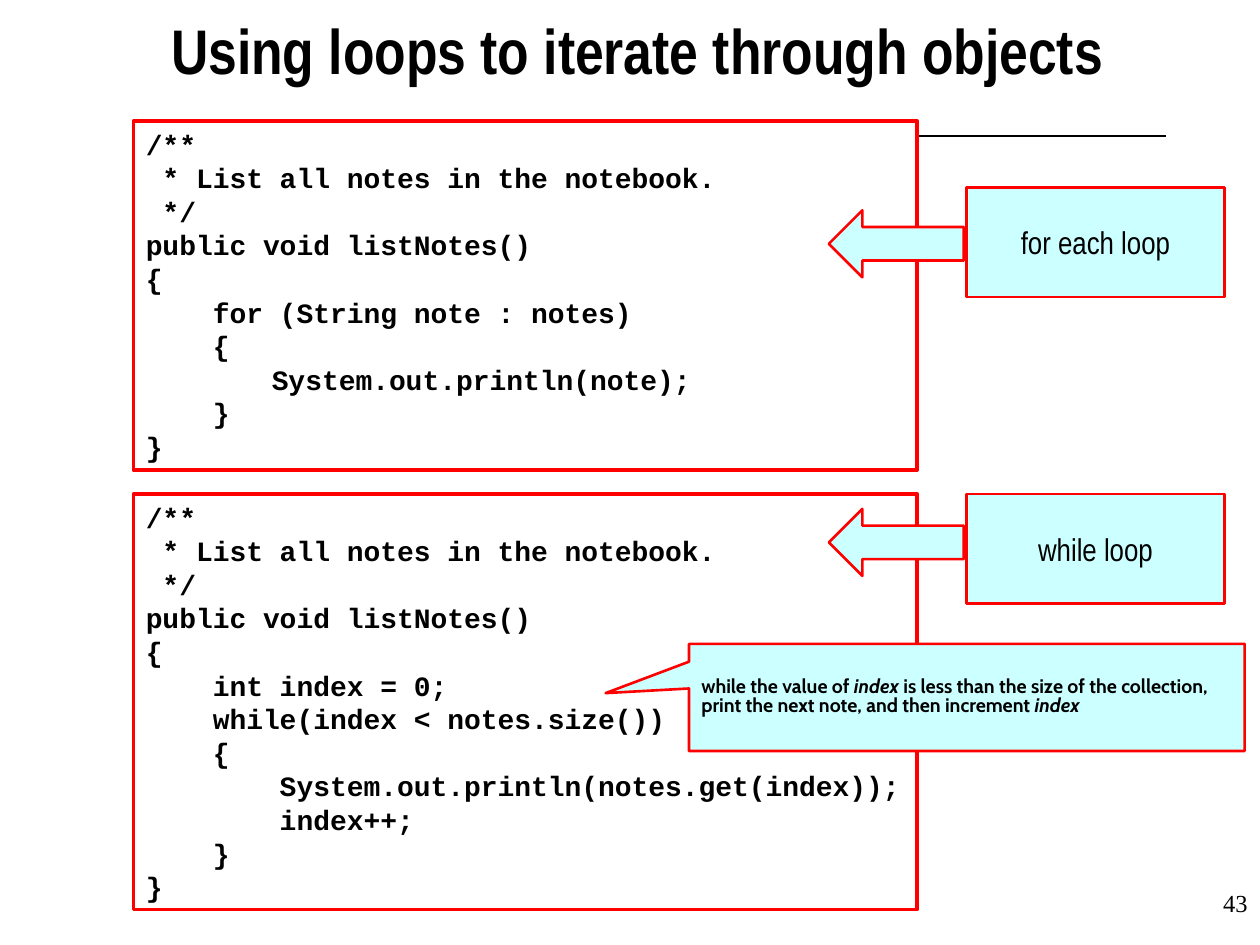
from lxml import etree
from pptx import Presentation
from pptx.dml.color import RGBColor
from pptx.enum.shapes import MSO_CONNECTOR, MSO_SHAPE
from pptx.enum.text import MSO_ANCHOR, MSO_AUTO_SIZE, PP_ALIGN
from pptx.oxml.ns import qn
from pptx.util import Cm, Pt

BLACK = RGBColor(0x00, 0x00, 0x00)
WHITE = RGBColor(0xFF, 0xFF, 0xFF)
RED = RGBColor(0xFF, 0x00, 0x00)
PALE_CYAN = RGBColor(0xCC, 0xFF, 0xFF)

RECTANGLE = MSO_SHAPE.RECTANGLE
LEFT_ARROW = MSO_SHAPE.LEFT_ARROW
CALLOUT = MSO_SHAPE.RECTANGULAR_CALLOUT
STRAIGHT = MSO_CONNECTOR.STRAIGHT
LEFT, CENTER, RIGHT = PP_ALIGN.LEFT, PP_ALIGN.CENTER, PP_ALIGN.RIGHT
TOP, MIDDLE = MSO_ANCHOR.TOP, MSO_ANCHOR.MIDDLE
FIT_SHAPE = MSO_AUTO_SIZE.SHAPE_TO_FIT_TEXT

FOR_EACH_CODE = """/**
 * List all notes in the notebook.
 */
public void listNotes()
{
    for (String note : notes)
    {
     \tSystem.out.println(note);
    }
}"""

WHILE_CODE = """/**
 * List all notes in the notebook.
 */
public void listNotes()
{
    int index = 0;
    while(index < notes.size())
    {
        System.out.println(notes.get(index));
        index++;
    }
}"""

CALLOUT_RUNS = [
    ("while the value of ", False),
    ("index", True),
    (" is less than the size of the collection, print the next note, "
     "and then increment ", False),
    ("index", True),
]


def add_run(paragraph, text, font_name, size, bold=False, italic=False):
    run = paragraph.add_run()
    run.text = text
    run.font.name = font_name
    run.font.size = Pt(size)
    run.font.bold = bold
    run.font.italic = italic
    run.font.color.rgb = BLACK


def add_text_box(slide, left, top, width, height, margins=None):
    box = slide.shapes.add_textbox(Cm(left), Cm(top), Cm(width), Cm(height))
    frame = box.text_frame
    frame.word_wrap = True
    if margins is not None:
        frame.margin_left = frame.margin_right = Cm(margins)
        frame.margin_top = frame.margin_bottom = Cm(margins)
    return frame.paragraphs[0]


def add_outlined_shape(slide, kind, left, top, width, height,
                       fill=PALE_CYAN, line_width=1.5):
    shape = slide.shapes.add_shape(kind, Cm(left), Cm(top), Cm(width), Cm(height))
    shape.shadow.inherit = False
    shape.fill.solid()
    shape.fill.fore_color.rgb = fill
    shape.line.color.rgb = RED
    shape.line.width = Pt(line_width)
    return shape


def add_code_box(slide, top, height, code):
    shape = add_outlined_shape(slide, RECTANGLE, 2.69, top, 15.8, height, WHITE, 2)
    frame = shape.text_frame
    frame.vertical_anchor = TOP
    frame.auto_size = FIT_SHAPE
    for number, line in enumerate(code.splitlines()):
        paragraph = frame.add_paragraph() if number else frame.paragraphs[0]
        paragraph.alignment = LEFT
        add_run(paragraph, line, "Courier New", 16, bold=True)


def add_label(slide, top, text):
    shape = add_outlined_shape(slide, RECTANGLE, 19.48, top, 5.21, 2.21)
    shape.text_frame.vertical_anchor = MIDDLE
    paragraph = shape.text_frame.paragraphs[0]
    paragraph.alignment = CENTER
    add_run(paragraph, text, "Arial Narrow", 18)


def add_callout(slide):
    shape = add_outlined_shape(slide, CALLOUT, 13.89, 12.98, 11.2, 2.16)
    shape.adjustments[0] = -0.65
    shape.adjustments[1] = -0.04
    shape.text_frame.vertical_anchor = MIDDLE
    paragraph = shape.text_frame.paragraphs[0]
    paragraph.alignment = LEFT
    paragraph.line_spacing = 0.8
    for text, italic in CALLOUT_RUNS:
        add_run(paragraph, text, "Cabin", 11.2, bold=True, italic=italic)


def add_rule(slide):
    rule = slide.shapes.add_connector(STRAIGHT, Cm(3.18), Cm(2.74), Cm(23.5), Cm(2.74))
    rule.line.color.rgb = BLACK
    rule.line.width = Pt(0.75)
    etree.SubElement(rule.element.spPr, qn("a:effectLst"))


def main():
    presentation = Presentation()
    presentation.slide_width = Cm(25.4)
    presentation.slide_height = Cm(19.05)
    slide = presentation.slides.add_slide(presentation.slide_layouts[6])

    add_rule(slide)
    page_number = add_text_box(slide, 20.12, 17.78, 5.28, 1.27)
    page_number.alignment = RIGHT
    add_run(page_number, "43", "Times New Roman", 14)
    add_code_box(slide, 2.44, 7.04, FOR_EACH_CODE)
    title = add_text_box(slide, 3.45, 0.23, 19.43, 1.9, margins=0)
    add_run(title, "Using loops to iterate through objects", "Arial Narrow", 36, bold=True)
    add_code_box(slide, 9.96, 8.38, WHILE_CODE)
    add_label(slide, 3.78, "for each loop")
    add_label(slide, 9.96, "while loop")
    add_callout(slide)
    for arrow_top in (10.26, 4.24):
        add_outlined_shape(slide, LEFT_ARROW, 16.71, arrow_top, 2.72, 1.35)

    presentation.save("out.pptx")


if __name__ == "__main__":
    main()
